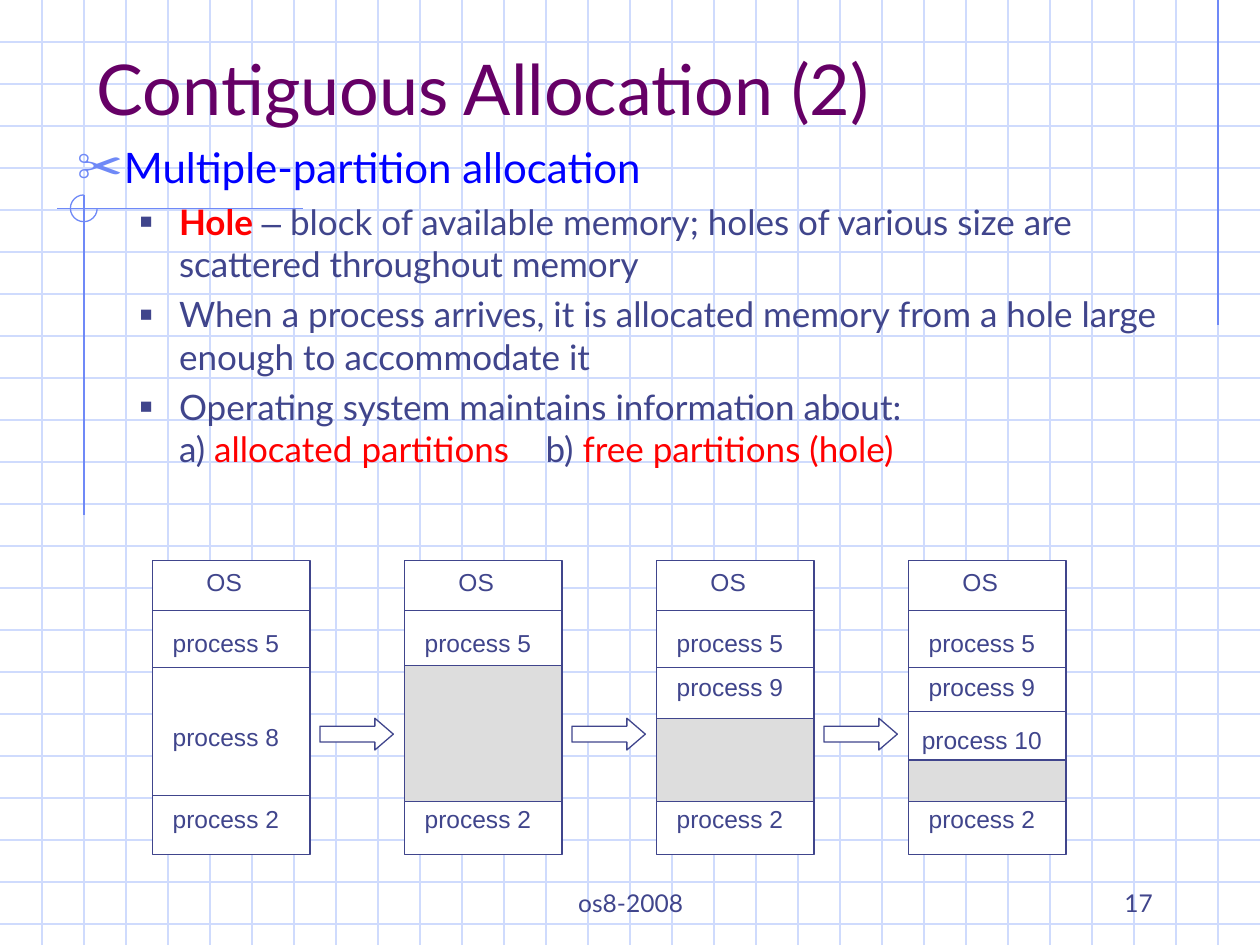
from lxml.etree import SubElement
from pptx import Presentation
from pptx.dml.color import RGBColor
from pptx.enum.shapes import MSO_CONNECTOR as Connector, MSO_SHAPE as Preset
from pptx.enum.text import MSO_ANCHOR as Anchor, MSO_AUTO_SIZE as AutoSize, PP_ALIGN as Align
from pptx.oxml.ns import qn
from pptx.util import Cm, Pt

COLORS = {
    "grid": "CFDBFD",
    "accent": "6F89F7",
    "ink": "40458C",
    "title": "660066",
    "heading": "0000FF",
    "key": "FF0000",
    "white": "FFFFFF",
    "hole": "DDDDDD",
}
WIDTH, HEIGHT = 25.4, 19.05
GRID_STEP = WIDTH / 30

MEMORY_LEFT, MEMORY_TOP, MEMORY_WIDTH, MEMORY_HEIGHT = 3.07, 11.3, 3.18, 5.93
STATE_STEP = 5.08
DIVIDERS = [12.3, 13.45, 16.03]
HOLE_BOTTOM = 16.16
COMMON_LABELS = [("process 5", 12.52), ("process 2", 16.08)]
# Each state: top of its hole, further dividers, further labels with their tops
STATES = [
    (None, [], [("process 8", 14.43)]),
    (13.41, [], []),
    (14.48, [], [("process 9", 13.41)]),
    (15.32, [14.35], [("process 9", 13.41), ("process 10", 14.48)]),
]

BULLETS = [
    [("Hole ", "key", "Lato", True), ("–", "ink", "Arial", False),
     (" block of available memory; holes of various size are scattered throughout memory",
      "ink", "Lato", False)],
    [("When a process arrives, it is allocated memory from a hole large enough "
      "to accommodate it", "ink", "Lato", False)],
    [("Operating system maintains information about:", "ink", "Lato", False), None,
     ("a) ", "ink", "Lato", False), ("allocated partitions", "key", "Lato", False),
     ("\tb) ", "ink", "Lato", False), ("free partitions (hole)", "key", "Lato", False)],
]


def rgb(name):
    return RGBColor.from_string(COLORS[name])


def style_font(font, size, color, name="Lato", bold=False):
    font.size, font.name, font.bold = Pt(size), name, bold
    font.color.rgb = rgb(color)


def add_line(slide, x1, y1, x2, y2, color="ink"):
    line = slide.shapes.add_connector(Connector.STRAIGHT, Cm(x1), Cm(y1), Cm(x2), Cm(y2))
    line.line.color.rgb = rgb(color)
    line.line.width = Pt(0.75)
    SubElement(line._element.spPr, qn("a:effectLst"))


def add_shape(slide, preset, left, top, width, height, fill=None, line="ink"):
    shape = slide.shapes.add_shape(preset, Cm(left), Cm(top), Cm(width), Cm(height))
    shape.shadow.inherit = False
    if fill:
        shape.fill.solid()
        shape.fill.fore_color.rgb = rgb(fill)
    else:
        shape.fill.background()
    shape.line.color.rgb = rgb(line)
    shape.line.width = Pt(0.75)
    return shape


def add_text(slide, text, left, top, width, height, align=Align.CENTER,
             anchor=Anchor.MIDDLE, font="Arial", wrap=True):
    box = slide.shapes.add_textbox(Cm(left), Cm(top), Cm(width), Cm(height))
    frame = box.text_frame
    frame.word_wrap, frame.vertical_anchor = wrap, anchor
    paragraph = frame.paragraphs[0]
    paragraph.text, paragraph.alignment = text, align
    style_font(paragraph.font, 14, "ink", font)


def set_bullet(paragraph, char, color, percent, margin, hanging, tab_stops=()):
    """Give a paragraph a bullet, a hanging indent and tab stops (lengths in cm)."""
    properties = paragraph._p.get_or_add_pPr()
    properties.set("marL", str(Cm(margin)))
    properties.set("indent", str(-Cm(hanging)))
    bullet_color = SubElement(properties, qn("a:buClr"))
    SubElement(bullet_color, qn("a:srgbClr"), val=COLORS[color])
    SubElement(properties, qn("a:buSzPct"), val=str(percent * 1000))
    SubElement(properties, qn("a:buFont"), typeface="Arial")
    SubElement(properties, qn("a:buChar"), char=char)
    if tab_stops:
        tabs = SubElement(properties, qn("a:tabLst"))
        for stop in tab_stops:
            SubElement(tabs, qn("a:tab"), pos=str(Cm(stop)), algn="l")


def add_background(slide):
    for row in range(1, 23):
        add_line(slide, 0, row * GRID_STEP, WIDTH, row * GRID_STEP, "grid")
    for column in range(1, 30):
        add_line(slide, column * GRID_STEP, 0, column * GRID_STEP, HEIGHT, "grid")
    right, left = 29 * GRID_STEP, 2 * GRID_STEP
    add_line(slide, right, 0, right, 6.55, "accent")
    add_line(slide, 6.1, 4.2, 1.14, 4.2, "accent")
    add_line(slide, left, 3.93, left, 10.39, "accent")
    arc = add_shape(slide, Preset.ARC, 1.42, 3.93, 0.54, 0.54, line="accent")
    # From 0 to 270 degrees, in 60000ths of a degree over 100000
    arc.adjustments[0], arc.adjustments[1] = 0, 162


def format_title(slide, text):
    title = slide.shapes.title
    title.left, title.top, title.width, title.height = Cm(1.7), Cm(0.85), Cm(21.6), Cm(1.88)
    slide.shapes._spTree.append(title._element)  # in front of the grid
    frame = title.text_frame
    frame.auto_size, frame.vertical_anchor = AutoSize.NONE, Anchor.BOTTOM
    paragraph = frame.paragraphs[0]
    paragraph.text, paragraph.alignment = text, Align.LEFT
    style_font(paragraph.font, 40, "title")


def add_body(slide):
    box = slide.shapes.add_textbox(Cm(1.3), Cm(2.72), Cm(22.6), Cm(8.2))
    frame = box.text_frame
    frame.word_wrap = True
    heading = frame.paragraphs[0]
    heading.text, heading.space_before = "Multiple-partition allocation", Pt(6)
    set_bullet(heading, "✂", "accent", 110, 0.95, 0.95)
    style_font(heading.font, 24, "heading")
    for parts in BULLETS:
        paragraph = frame.add_paragraph()
        paragraph.level, paragraph.space_before = 1, Pt(5)
        # The same place for b), counted from the indent and from the box edge
        set_bullet(paragraph, "■", "ink", 60, 2.06, 0.79, (7.39, 9.45))
        for part in parts:
            if part is None:
                paragraph.add_line_break()
                continue
            text, color, font, bold = part
            run = paragraph.add_run()
            run.text = text
            style_font(run.font, 20, color, font, bold)


def add_memory_state(slide, left, hole_top, extra_dividers, extra_labels):
    add_shape(slide, Preset.RECTANGLE, left, MEMORY_TOP, MEMORY_WIDTH, MEMORY_HEIGHT, "white")
    for y in DIVIDERS + extra_dividers:
        add_line(slide, left, y, left + MEMORY_WIDTH, y)
    if hole_top:
        add_shape(slide, Preset.RECTANGLE, left, hole_top, MEMORY_WIDTH,
                  HOLE_BOTTOM - hole_top, "hole")
    add_text(slide, "OS", left + 0.84, MEMORY_TOP, 1.22, 0.86, wrap=False)
    for text, top in COMMON_LABELS + extra_labels:
        add_text(slide, text, left, top, 2.97, 0.86)


def main():
    presentation = Presentation()
    presentation.slide_width, presentation.slide_height = Cm(WIDTH), Cm(HEIGHT)
    slide = presentation.slides.add_slide(presentation.slide_layouts[5])
    add_background(slide)
    format_title(slide, "Contiguous Allocation (2)")
    add_body(slide)
    for index, state in enumerate(STATES):
        left = MEMORY_LEFT + index * STATE_STEP
        add_memory_state(slide, left, *state)
        if index:
            arrow = add_shape(slide, Preset.RIGHT_ARROW, left - 1.7, 14.48, 1.48, 0.64, "white")
            arrow.adjustments[1] = 0.58
    add_text(slide, "os8-2008", 8.69, 17.35, 8.05, 1.27, anchor=Anchor.BOTTOM, font="Lato")
    add_text(slide, "17", 18.21, 17.35, 5.28, 1.27, Align.RIGHT, Anchor.BOTTOM, "Lato")
    presentation.save("out.pptx")


if __name__ == "__main__":
    main()
